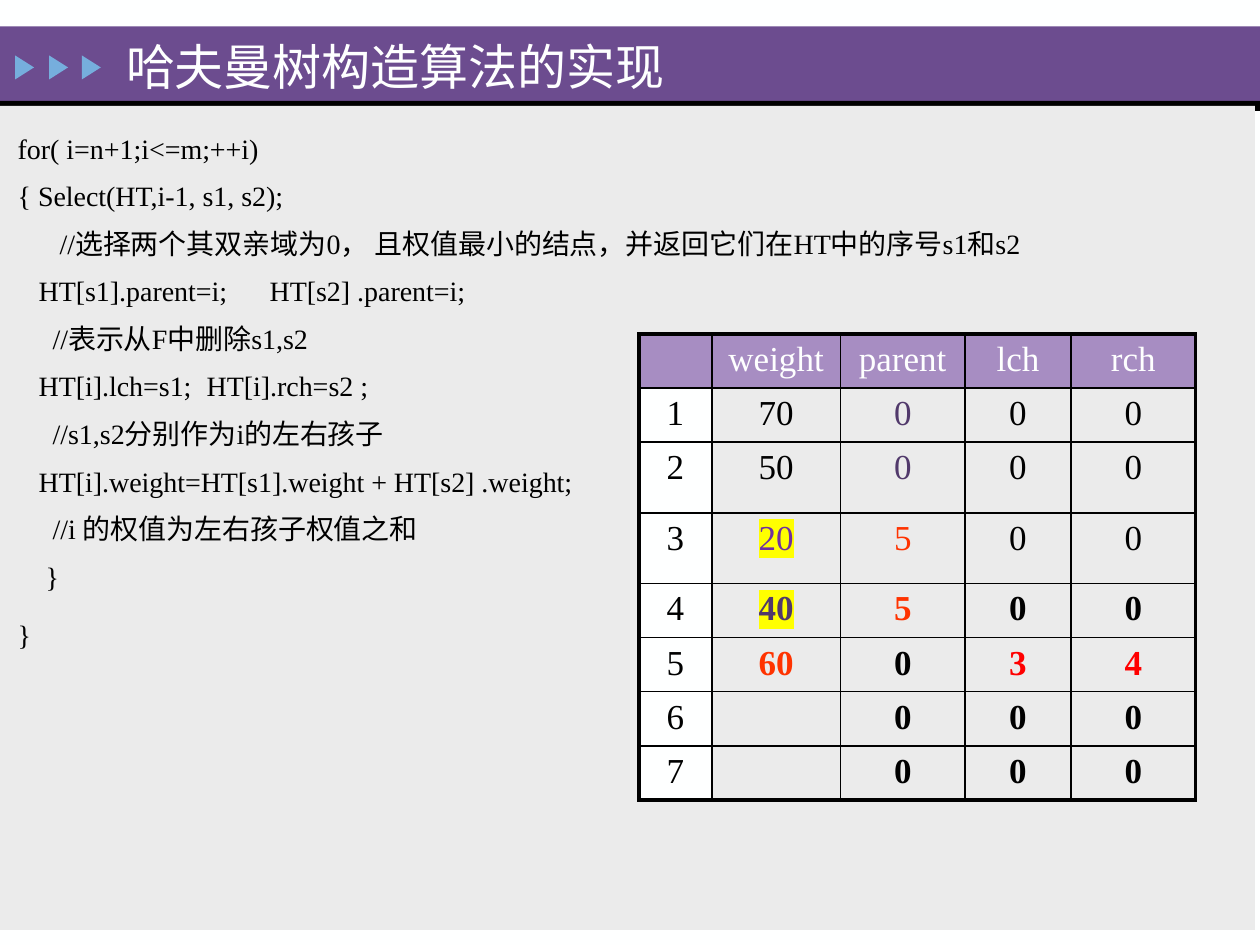
from lxml import etree
from pptx import Presentation
from pptx import util as u
from pptx.dml.color import RGBColor
from pptx.enum import shapes, text
from pptx.oxml.ns import qn

FONT = "Times New Roman"
COLORS = {
    "white": "FEFFFF", "black": "000000", "banner": "6C4C8F", "arrow": "76AEDD",
    "panel": "EBEBEB", "header": "A78DC2", "plum": "51396B", "violet": "7030A0",
    "orange": "FF3300", "red": "FF0000", "yellow": "FFFF00",
}

# Each code line: leading indent in spaces, text (a tab parts two statements), tab stop
SPACE_WIDTH = 4 / 72
CODE = [
    (0, "for( i=n+1;i<=m;++i)", None),
    (0, "{ Select(HT,i-1, s1, s2);", None),
    (6, "//选择两个其双亲域为0， 且权值最小的结点，并返回它们在HT中的序号s1和s2", None),
    (3, "HT[s1].parent=i;\tHT[s2] .parent=i;", 1.83),
    (5, "//表示从F中删除s1,s2", None),
    (3, "HT[i].lch=s1;\tHT[i].rch=s2 ;", 1.6),
    (5, "//s1,s2分别作为i的左右孩子", None),
    (3, "HT[i].weight=HT[s1].weight + HT[s2] .weight;", None),
    (5, "//i 的权值为左右孩子权值之和", None),
    (4, "}", None),
    (0, "}", None),
]

HEADERS = ["", "weight", "parent", "lch", "rch"]
NODES = [
    ["1", "70", "0", "0", "0"],
    ["2", "50", "0", "0", "0"],
    ["3", "20", "5", "0", "0"],
    ["4", "40", "5", "0", "0"],
    ["5", "60", "0", "3", "4"],
    ["6", "", "0", "0", "0"],
    ["7", "", "0", "0", "0"],
]
COLUMN_WIDTHS = [0.58, 1.02, 0.99, 0.84, 0.99]
ROW_HEIGHTS = [0.43, 0.43, 0.56, 0.56, 0.43, 0.43, 0.43, 0.43]
# Emphasised values by (row, column)
VALUE_COLORS = {
    (1, 2): "plum", (2, 2): "plum", (3, 1): "violet", (3, 2): "orange",
    (4, 1): "plum", (4, 2): "orange", (5, 1): "orange", (5, 3): "red", (5, 4): "red",
}
SELECTED = {(3, 1), (4, 1)}
FIRST_BOLD_ROW = 4


def rgb(name):
    return RGBColor.from_string(COLORS[name])


def place(item, left, top, width, height):
    item.left, item.top = u.Inches(left), u.Inches(top)
    item.width, item.height = u.Inches(width), u.Inches(height)


def add_block(slide, preset, box, color):
    block = slide.shapes.add_shape(preset, *map(u.Inches, box))
    block.shadow.inherit = False
    block.fill.solid()
    block.fill.fore_color.rgb = rgb(color)
    block.line.fill.background()
    return block


def add_run(paragraph, words, size, color="black", bold=False):
    run = paragraph.add_run()
    run.text = words
    run.font.size = u.Pt(size)
    run.font.name = FONT
    run.font.bold = bold
    run.font.color.rgb = rgb(color)
    return run


def highlight(run, color):
    mark = etree.Element(qn("a:highlight"))
    etree.SubElement(mark, qn("a:srgbClr"), val=COLORS[color])
    run.font.fill._xPr.find(qn("a:solidFill")).addnext(mark)


def space_before_percent(paragraph, percent):
    paragraph.space_before = u.Pt(0)
    spacing = paragraph._p.pPr.find(qn("a:spcBef"))
    spacing.clear()
    etree.SubElement(spacing, qn("a:spcPct"), val=str(percent * 1000))


def format_code_line(paragraph, indent, tab_stop):
    space_before_percent(paragraph, 50)
    properties = paragraph._p.pPr
    properties.set("marL", "0")
    properties.set("indent", str(u.Inches(indent * SPACE_WIDTH)))
    etree.SubElement(properties, qn("a:buNone"))
    if tab_stop:
        tabs = etree.SubElement(properties, qn("a:tabLst"))
        etree.SubElement(tabs, qn("a:tab"), pos=str(u.Inches(tab_stop)), algn="l")


def fill_title(title):
    place(title, 0.9, 0.24, 7.2, 0.56)
    frame = title.text_frame
    frame.auto_size = text.MSO_AUTO_SIZE.NONE
    frame.vertical_anchor = text.MSO_ANCHOR.MIDDLE
    heading = frame.paragraphs[0]
    heading.alignment = text.PP_ALIGN.LEFT
    add_run(heading, "哈夫曼树构造算法的实现", 28, "white")


def fill_code(body):
    place(body, 0.04, 0.99, 8.62, 4.51)
    frame = body.text_frame
    frame.auto_size = text.MSO_AUTO_SIZE.NONE
    frame.word_wrap = True
    for number, (indent, words, tab_stop) in enumerate(CODE):
        line = frame.add_paragraph() if number else frame.paragraphs[0]
        format_code_line(line, indent, tab_stop)
        add_run(line, words, 16)
    add_run(line, " ", 20)  # the closing line is taller


def set_borders(cell, widths):
    properties = cell._tc.get_or_add_tcPr()
    for side, width in zip("LRTB", widths):
        line = etree.SubElement(properties, qn(f"a:ln{side}"), w=str(u.Pt(width)))
        paint = etree.SubElement(line, qn("a:solidFill"))
        etree.SubElement(paint, qn("a:srgbClr"), val=COLORS["black"])


def fill_cell(cell, row, column, value):
    if row == 0:
        cell.fill.solid()
        cell.fill.fore_color.rgb = rgb("header")
    elif column == 0:
        cell.fill.solid()
        cell.fill.fore_color.rgb = rgb("white")
    else:
        cell.fill.background()
    if not value:
        return
    paragraph = cell.text_frame.paragraphs[0]
    paragraph.alignment = text.PP_ALIGN.CENTER
    space_before_percent(paragraph, 20)
    color = "white" if row == 0 else VALUE_COLORS.get((row, column), "black")
    run = add_run(paragraph, value, 20, color, row >= FIRST_BOLD_ROW and column > 0)
    if (row, column) in SELECTED:
        highlight(run, "yellow")


def add_node_table(slide):
    rows = [HEADERS] + NODES
    last_row, last_column = len(rows) - 1, len(HEADERS) - 1
    table = slide.shapes.add_table(
        len(rows), len(HEADERS), u.Inches(5.07), u.Inches(2.65),
        u.Inches(sum(COLUMN_WIDTHS)), u.Inches(sum(ROW_HEIGHTS))).table
    table.first_row = table.horz_banding = False
    for column, width in zip(table.columns, COLUMN_WIDTHS):
        column.width = u.Inches(width)
    for r, values in enumerate(rows):
        table.rows[r].height = u.Inches(ROW_HEIGHTS[r])
        for c, value in enumerate(values):
            outer = (c == 0, c == last_column, r == 0, r == last_row)
            set_borders(table.cell(r, c), [2.25 if edge else 1 for edge in outer])
            fill_cell(table.cell(r, c), r, c, value)


def main():
    deck = Presentation()
    deck.slide_width, deck.slide_height = u.Inches(10), u.Inches(7.5)
    slide = deck.slides.add_slide(deck.slide_layouts[1])
    slide.background.fill.solid()
    slide.background.fill.fore_color.rgb = rgb("white")

    # Banner, rule, arrows and code panel
    preset = shapes.MSO_SHAPE
    add_block(slide, preset.RECTANGLE, (0, 0.21, 10, 0.59), "banner")
    add_block(slide, preset.RECTANGLE, (0, 0.8, 10, 0.08), "black")
    for left in (0.1, 0.37, 0.63):
        arrow = add_block(slide, preset.ISOSCELES_TRIANGLE, (left, 0.46, 0.19, 0.15), "arrow")
        arrow.rotation = 90
    add_block(slide, preset.RECTANGLE, (-0.04, 0.84, 10, 6.54), "panel")

    # Title and code, brought in front of the panel
    title, body = slide.placeholders
    fill_title(title)
    fill_code(body)
    for holder in (title, body):
        slide.shapes._spTree.append(holder._element)

    # Huffman node table
    add_node_table(slide)
    deck.save("out.pptx")


if __name__ == "__main__":
    main()
